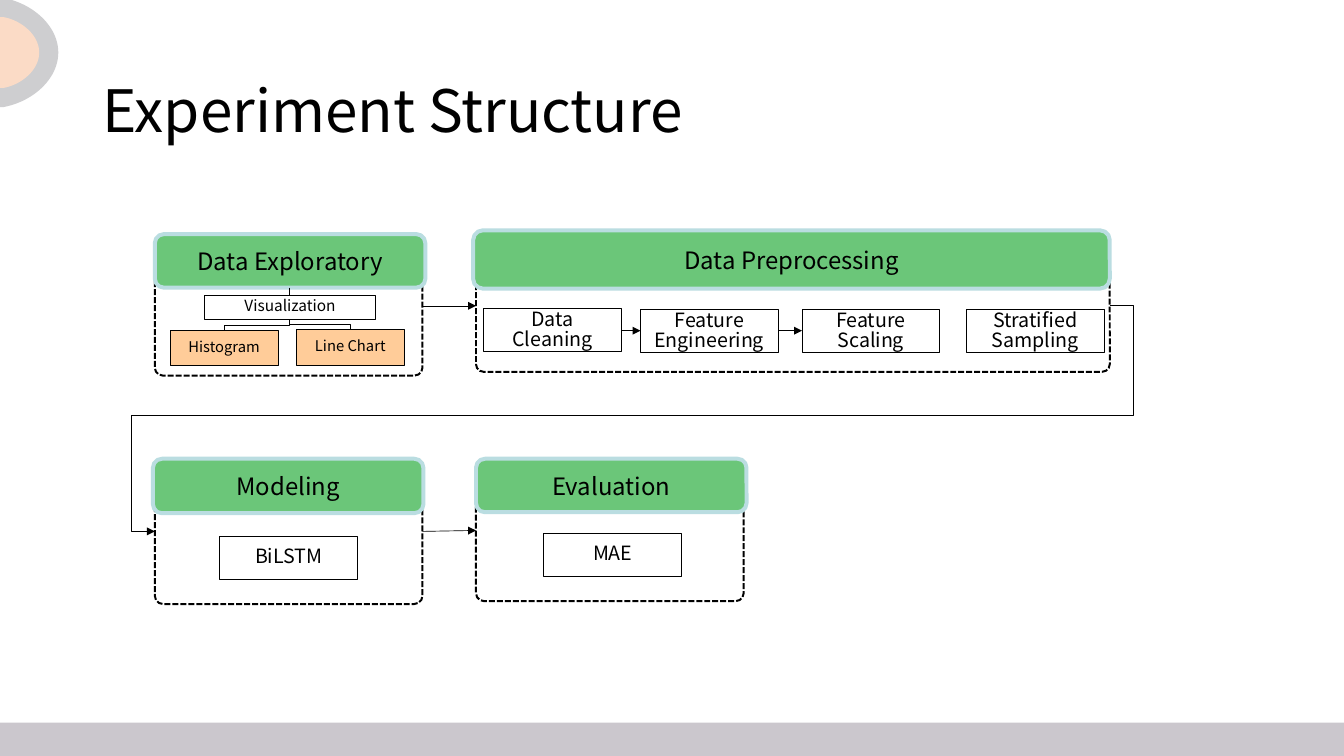
import pptx
import pptx.util
import pptx.dml.color
import pptx.enum.dml
import pptx.enum.shapes
import pptx.enum.text
import pptx.oxml
import pptx.oxml.ns

Inches = pptx.util.Inches
SHAPE = pptx.enum.shapes.MSO_SHAPE
LINK = pptx.enum.shapes.MSO_CONNECTOR
ALIGN = pptx.enum.text.PP_ALIGN
MIDDLE = pptx.enum.text.MSO_ANCHOR.MIDDLE
FONT = "Noto Sans CJK SC"
COLORS = {
    "ink": "000000", "header": "6BC679", "border": "BADDE1",
    "leaf": "FFCC99", "ring": "CECED0", "core": "FBDBC6", "footer": "A79FAA",
}
STEP_W, STEP_H = 1.44, 0.45


def rgb(name):
    return pptx.dml.color.RGBColor.from_string(COLORS[name])


def sub(parent, tag, **attrs):
    el = pptx.oxml.parse_xml(f"<{tag} {pptx.oxml.ns.nsdecls('a')}/>")
    for key, value in attrs.items():
        el.set(key, str(value))
    parent.append(el)
    return el


def paint(s, fill=None, line=None, width=0.75):
    s.shadow.inherit = False
    if fill:
        s.fill.solid()
        s.fill.fore_color.rgb = rgb(fill)
    else:
        s.fill.background()
    if line:
        s.line.color.rgb = rgb(line)
        s.line.width = pptx.util.Pt(width)
    else:
        s.line.fill.background()


def write(s, text, size, align=ALIGN.CENTER, spacing=None):
    tf = s.text_frame
    tf.word_wrap = True
    tf.vertical_anchor = MIDDLE
    tf.text = text
    p = tf.paragraphs[0]
    p.alignment = align
    p.line_spacing = spacing
    p.font.name = FONT
    p.font.size = pptx.util.Pt(size)
    p.font.color.rgb = rgb("ink")


def add_box(slide, kind, box, **style):
    s = slide.shapes.add_shape(kind, *map(Inches, box))
    paint(s, **style)
    return s


def add_step(slide, box, text, size=14.8, fill=None):
    s = add_box(slide, SHAPE.RECTANGLE, box, fill=fill, line="ink")
    write(s, text, size, spacing=0.84)


def add_link(slide, start, end, kind=LINK.STRAIGHT, arrow=True):
    c = slide.shapes.add_connector(kind, *map(Inches, (*start, *end)))
    c.line.color.rgb = rgb("ink")
    c.line.width = pptx.util.Pt(0.5)
    if arrow:
        sub(c.line._get_or_add_ln(), "a:tailEnd", type="triangle")
    sub(c._element.spPr, "a:effectLst")
    return c


def add_branch(slide, start, end):
    (x1, y1), (x2, y2) = start, end
    cx, cy = (x1 + x2) / 2, (y1 + y2) / 2
    rightward = x2 > x1
    half_w = (y2 - y1) / 2 * (-1 if rightward else 1)
    half_h = abs(x2 - x1) / 2
    c = add_link(slide, (cx - half_w, cy - half_h), (cx + half_w, cy + half_h),
                 LINK.ELBOW, arrow=False)
    c._element.spPr.xfrm.set("rot", str((270 if rightward else 90) * 60000))


def add_return_link(slide, start, end):
    c = add_link(slide, start, end, LINK.ELBOW)
    geom = c._element.spPr.find(pptx.oxml.ns.qn("a:prstGeom"))
    geom.set("prst", "bentConnector5")
    guides = geom.get_or_add_avLst()
    for i, value in enumerate((-2500, 48700, 102500), 1):
        sub(guides, "a:gd", name=f"adj{i}", fmla=f"val {value}")


def add_stage(slide, box, header, title):
    x, y, w, h = box
    dx, dy, head_w, head_h = header
    s = add_box(slide, SHAPE.ROUNDED_RECTANGLE, box, line="ink", width=1.5)
    s.adjustments[0] = 0.057
    s.line.dash_style = pptx.enum.dml.MSO_LINE.SQUARE_DOT
    s = add_box(slide, SHAPE.ROUNDED_RECTANGLE, (x + dx, y + dy, head_w, head_h),
                fill="header", line="border", width=3)
    write(s, title, 18)


def add_exploratory(slide, box):
    x, y, w, h = box
    add_stage(slide, box, (0, -0.01, 2.83, 0.56), "Data Exploratory")
    mid = x + 1.41
    add_step(slide, (x + 0.52, y + 0.63, 1.79, 0.25), "Visualization", 11.6)
    add_link(slide, (mid, y + 0.55), (mid, y + 0.63), arrow=False)
    for text, dx, dy in (("Histogram", 0.16, 1), ("Line Chart", 1.48, 0.99)):
        add_step(slide, (x + dx, y + dy, 1.13, 0.37), text, 11.1, "leaf")
        add_branch(slide, (mid, y + 0.88), (x + dx + 0.565, y + dy))


def add_preprocessing(slide, box):
    x, y, w, h = box
    add_stage(slide, box, (-0.03, -0.09, 6.66, 0.61), "Data Preprocessing")
    names = ("Data Cleaning", "Feature Engineering", "Feature Scaling",
             "Stratified Sampling")
    lefts = [x + dx for dx in (0.08, 1.72, 3.41, 5.13)]
    for i, (name, left) in enumerate(zip(names, lefts)):
        top = y + (0.74 if i else 0.73)
        add_step(slide, (left, top, STEP_W, STEP_H), name)
    for left, following in zip(lefts[:2], lefts[1:3]):
        add_link(slide, (left + STEP_W, y + 0.96), (following, y + 0.96))


def add_single_step(slide, box, header, title, step, offset):
    add_stage(slide, box, header, title)
    add_step(slide, (box[0] + offset[0], box[1] + offset[1], STEP_W, STEP_H), step)


def add_half_disc(slide, box, color):
    x, y, w, h = box
    shoulder, middle = x + 0.04, y + h / 2
    curve = [(x + w, middle), (x + w, y + 0.255 * h),
             (x + 0.56 * w, y + 0.05 * h), (shoulder, y)]
    upper = []
    for i in range(25):
        t = i / 24
        weights = ((1 - t) ** 3, 3 * t * (1 - t) ** 2, 3 * t * t * (1 - t), t ** 3)
        upper.append(tuple(sum(k * pt[axis] for k, pt in zip(weights, curve))
                           for axis in (0, 1)))
    lower = [(px, 2 * middle - py) for px, py in reversed(upper)]
    points = upper + [(x, y), (x, y + h)] + lower
    fb = slide.shapes.build_freeform(*map(Inches, points[0]))
    fb.add_line_segments([tuple(map(Inches, pt)) for pt in points[1:]])
    paint(fb.convert_to_shape(), fill=color)


def add_footer(slide, box):
    s = add_box(slide, SHAPE.RECTANGLE, box, fill="footer")
    color = s._element.spPr.find(".//" + pptx.oxml.ns.qn("a:srgbClr"))
    sub(color, "a:alpha", val=58000)


def add_title(slide, box, text):
    s = slide.shapes.title
    s.left, s.top, s.width, s.height = map(Inches, box)
    write(s, text, 44, ALIGN.LEFT, 0.9)


prs = pptx.Presentation()
prs.slide_width, prs.slide_height = Inches(14.06), Inches(7.91)
slide = prs.slides.add_slide(prs.slide_layouts[5])
add_half_disc(slide, (0, -0.02, 0.61, 1.14), "ring")
add_half_disc(slide, (0, 0.18, 0.41, 0.74), "core")
add_footer(slide, (0, 7.56, 14.06, 0.35))
add_title(slide, (0.97, 0.42, 12.13, 1.53), "Experiment Structure")
add_exploratory(slide, (1.62, 2.46, 2.8, 1.47))
add_preprocessing(slide, (4.98, 2.5, 6.63, 1.39))
add_single_step(slide, (1.62, 4.8, 2.8, 1.52), (-0.02, 0, 2.83, 0.57),
                "Modeling", "BiLSTM", (0.68, 0.81))
add_single_step(slide, (4.98, 4.82, 2.8, 1.47), (0, -0.02, 2.83, 0.56),
                "Evaluation", "MAE", (0.71, 0.76))
add_link(slide, (4.42, 3.2), (4.98, 3.2))
add_link(slide, (4.42, 5.56), (4.98, 5.55))
add_return_link(slide, (11.61, 3.2), (1.62, 5.56))
prs.save("out.pptx")
